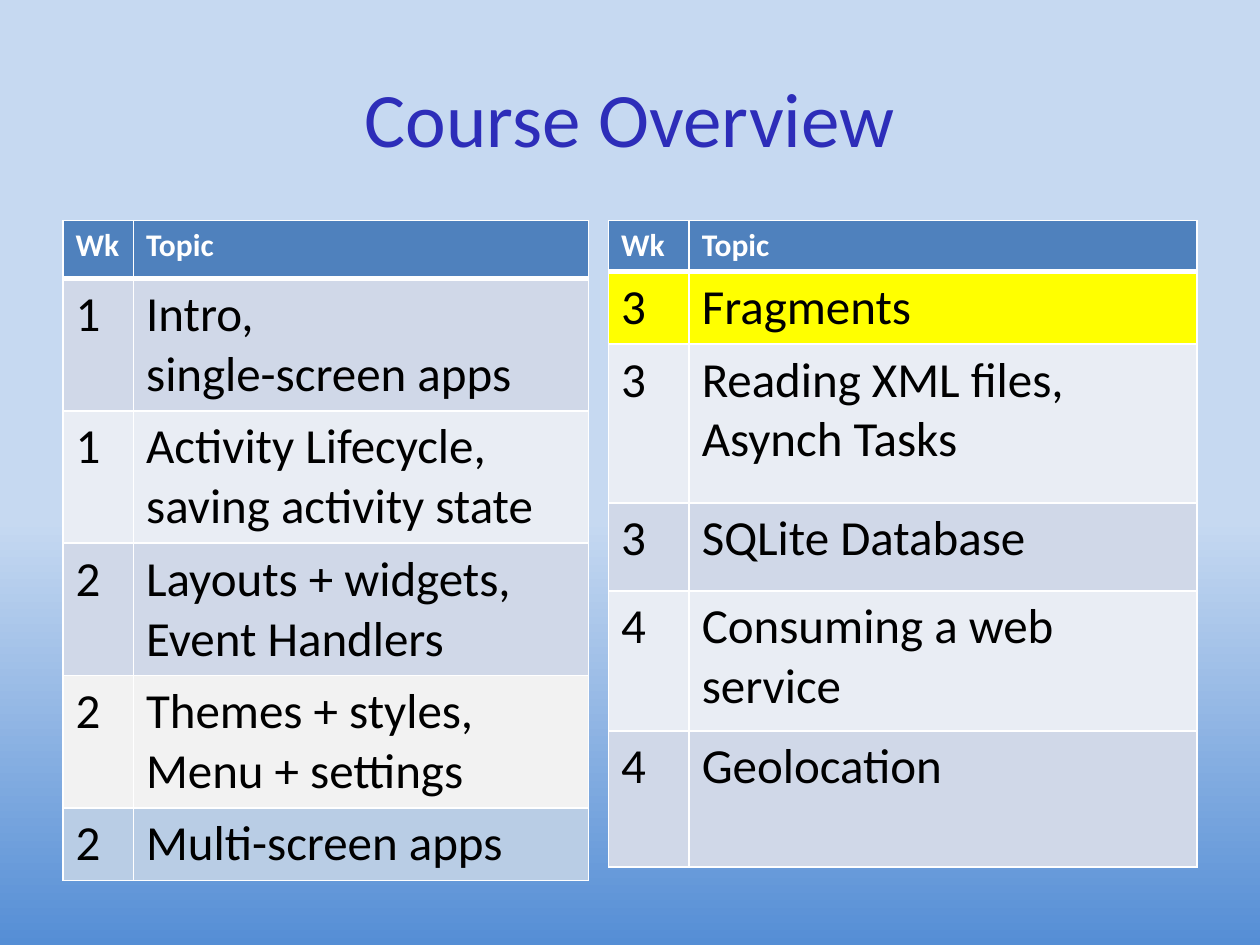
from lxml.etree import SubElement
from pptx import Presentation
from pptx.dml.color import RGBColor
from pptx.enum.text import MSO_ANCHOR, PP_ALIGN
from pptx.oxml.ns import qn
from pptx.util import Inches, Pt

FONT = "Calibri"
COLORS = {
    "sky": "C6D9F1", "horizon": "558ED5", "title": "2D2DB9",
    "header": "4F81BD", "white": "FFFFFF", "black": "000000",
    "band": "D0D8E8", "pale": "E9EDF4", "gray": "F2F2F2",
    "blue": "B9CDE5", "current": "FFFF00",
}

# Each row: week, topic, fill, height in inches (\v breaks a line, \n a paragraph)
FIRST_WEEKS = [
    ("Wk", "Topic", "header", 0.46),
    ("1", "Intro, \vsingle-screen apps", "band", 1.05),
    ("1", "Activity Lifecycle, saving activity state", "pale", 1.05),
    ("2", "Layouts + widgets,\nEvent Handlers", "band", 1.05),
    ("2", "Themes + styles,\nMenu + settings", "gray", 1.05),
    ("2", "Multi-screen apps", "blue", 0.51),
]
LAST_WEEKS = [
    ("Wk", "Topic", "header", 0.4),
    ("3", "Fragments", "current", 0.57),
    ("3", "Reading XML files,\nAsynch Tasks", "pale", 1.26),
    ("3", "SQLite Database", "band", 0.7),
    ("4", "Consuming a web service", "pale", 1.11),
    ("4", "Geolocation", "band", 1.08),
]


def color(name):
    return RGBColor.from_string(COLORS[name])


def style_font(para, size, color_name, bold=False):
    para.font.name = FONT
    para.font.size = Pt(size)
    para.font.bold = bold
    para.font.color.rgb = color(color_name)


def paint_background(page):
    fill = page.background.fill
    fill.gradient()
    fill.gradient_angle = 270
    stops = zip(fill.gradient_stops, [("sky", 0.55), ("horizon", 1)])
    for stop, (name, position) in stops:
        stop.color.rgb = color(name)
        stop.position = position


def place_title(page, text, left, top, width, height):
    title = page.shapes.title
    title.left, title.top = Inches(left), Inches(top)
    title.width, title.height = Inches(width), Inches(height)
    title.text_frame.text = text
    title.text_frame.vertical_anchor = MSO_ANCHOR.MIDDLE
    para = title.text_frame.paragraphs[0]
    para.alignment = PP_ALIGN.CENTER
    style_font(para, 44, "title")


def border_cell(cell, top, bottom):
    properties = cell._tc.get_or_add_tcPr()
    for side, width in (("L", 1), ("R", 1), ("T", top), ("B", bottom)):
        line = SubElement(properties, qn(f"a:ln{side}"), w=str(Pt(width)))
        solid = SubElement(line, qn("a:solidFill"))
        SubElement(solid, qn("a:srgbClr"), val=COLORS["white"])


def place_schedule(page, rows, left, top, column_widths):
    width = sum(column_widths)
    height = sum(row[-1] for row in rows)
    table = page.shapes.add_table(
        len(rows), len(column_widths), Inches(left), Inches(top),
        Inches(width), Inches(height)).table
    for column, column_width in zip(table.columns, column_widths):
        column.width = Inches(column_width)
    for index, (week, topic, fill_name, row_height) in enumerate(rows):
        table.rows[index].height = Inches(row_height)
        is_header = index == 0
        for cell, text in zip(table.rows[index].cells, (week, topic)):
            # The thick rule lies between the header and the first row
            border_cell(cell, top=3 if index == 1 else 1,
                        bottom=3 if is_header else 1)
            cell.fill.solid()
            cell.fill.fore_color.rgb = color(fill_name)
            cell.text = text
            for para in cell.text_frame.paragraphs:
                if is_header:
                    style_font(para, 18, "white", bold=True)
                else:
                    style_font(para, 28, "black")


def main():
    deck = Presentation()
    deck.slide_width, deck.slide_height = Inches(10), Inches(7.5)
    page = deck.slides.add_slide(deck.slide_layouts[5])
    paint_background(page)
    place_title(page, "Course Overview", 0.5, 0.3, 9, 1.25)
    # Two schedules side by side
    place_schedule(page, FIRST_WEEKS, 0.5, 1.75, (0.56, 3.61))
    place_schedule(page, LAST_WEEKS, 4.83, 1.75, (0.64, 4.03))
    deck.save("out.pptx")


if __name__ == "__main__":
    main()
